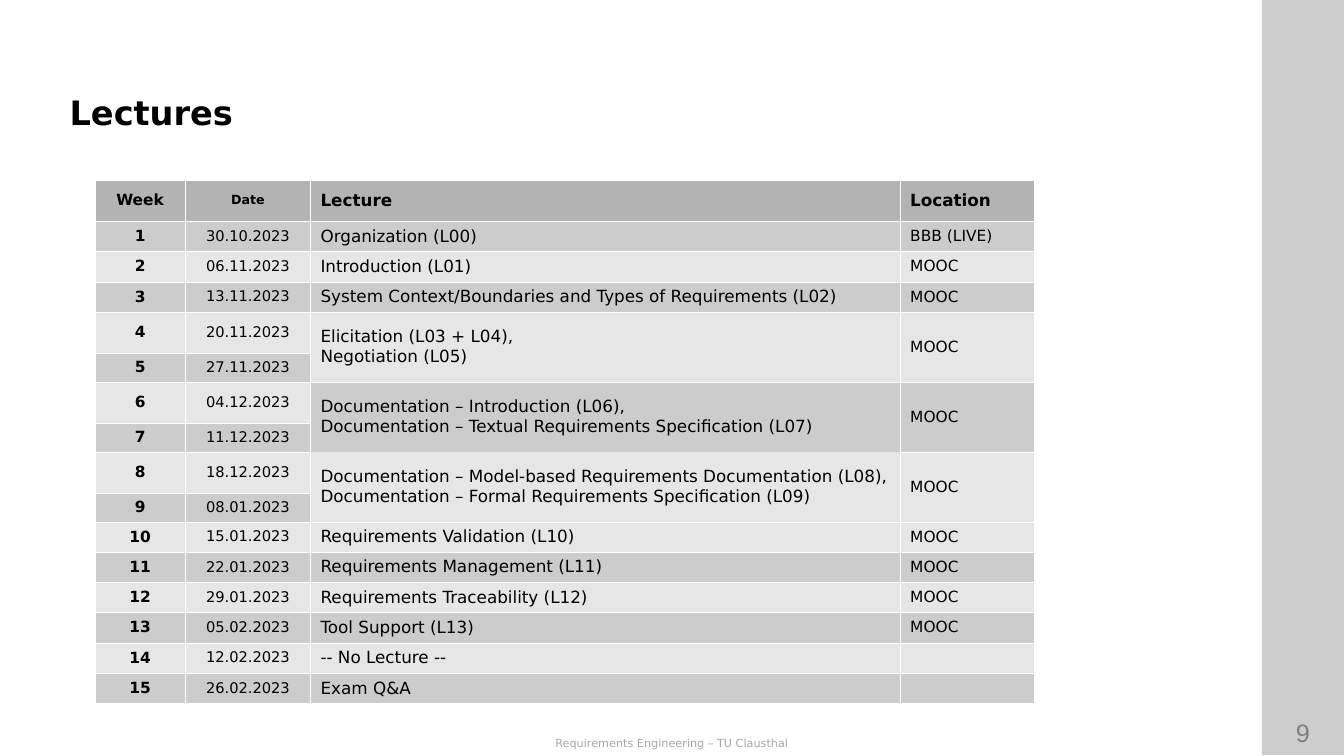
"""Build the lecture schedule slide."""
from lxml import etree
from pptx import Presentation
from pptx import util as u
from pptx.dml.color import RGBColor
from pptx.enum import shapes, text
from pptx.oxml.ns import qn

Pt = u.Pt
SANS = "DejaVu Sans"
COLORS = {
    "ink": "000000", "line": "FFFFFF", "head": "B3B3B3", "dark": "CCCCCC",
    "light": "E6E6E6", "page": "808080", "foot": "A6A6A6",
}
WIDTHS = [64.8, 89.3, 421.2, 95.8]
SIZES = [11, 10.5, 12, 11]
TALL, LOW = 29.5, 17.3
HEADS = ["Week", "Date", "Lecture", "Location"]
WEEKS = [
    ("30.10.2023", "Organization (L00)", "BBB (LIVE)"),
    ("06.11.2023", "Introduction (L01)", "MOOC"),
    ("13.11.2023", "System Context/Boundaries and Types of Requirements (L02)", "MOOC"),
    ("20.11.2023", "Elicitation (L03 + L04),\nNegotiation (L05)", "MOOC"),
    ("27.11.2023", "", ""),
    ("04.12.2023", "Documentation – Introduction (L06),\n"
     "Documentation – Textual Requirements Specification (L07)", "MOOC"),
    ("11.12.2023", "", ""),
    ("18.12.2023", "Documentation – Model-based Requirements Documentation (L08),\n"
     "Documentation – Formal Requirements Specification (L09)", "MOOC"),
    ("08.01.2023", "", ""),
    ("15.01.2023", "Requirements Validation (L10)", "MOOC"),
    ("22.01.2023", "Requirements Management (L11)", "MOOC"),
    ("29.01.2023", "Requirements Traceability (L12)", "MOOC"),
    ("05.02.2023", "Tool Support (L13)", "MOOC"),
    ("12.02.2023", "-- No Lecture --", ""),
    ("26.02.2023", "Exam Q&A", ""),
]
PAIRS = [4, 6, 8]
SIDES = {(6, 2): "L", (6, 3): "RT", (8, 2): "LRB"}
PLAIN = "{2D5ABB26-0587-4C30-8999-92F81FD0307C}"


def color(name):
    """Return the named colour."""
    return RGBColor.from_string(COLORS[name])


def style(frame, size, tint="ink", bold=False, center=False, face=SANS):
    """Format every paragraph of a text frame."""
    for para in frame.paragraphs:
        para.alignment = text.PP_ALIGN.CENTER if center else text.PP_ALIGN.LEFT
        font = para.font
        font.name, font.size, font.bold = face, Pt(size), bold
        font.color.rgb = color(tint)


def add_band(slide):
    """Add one translucent band at the right edge."""
    band = slide.shapes.add_shape(
        shapes.MSO_SHAPE.RECTANGLE, Pt(901.4), 0, Pt(58.6), Pt(539.5))
    band.shadow.inherit = False
    band.line.fill.background()
    band.fill.solid()
    band.fill.fore_color.rgb = color("ink")
    tone = band.fill._xPr.find(".//" + qn("a:srgbClr"))
    etree.SubElement(tone, qn("a:alpha"), val="10000")


def add_label(slide, words, box, size, tint, face=SANS):
    """Add a centred line of text."""
    label = slide.shapes.add_textbox(*map(Pt, box))
    frame = label.text_frame
    frame.word_wrap = True
    frame.text = words
    style(frame, size, tint, center=True, face=face)


def add_title(slide, words):
    """Fill and place the title."""
    title = slide.shapes.title
    title.left, title.top, title.width, title.height = map(Pt, (42.5, 60.5, 846, 39))
    frame = title.text_frame
    frame.text = words
    frame.vertical_anchor = text.MSO_ANCHOR.MIDDLE
    style(frame, 24, bold=True)


def add_lines(cell, sides):
    """Draw thin cell borders on the given sides."""
    props = cell._tc.get_or_add_tcPr()
    for spot, side in enumerate(sides):
        line = etree.Element(qn("a:ln" + side), w=str(Pt(0.06)))
        fill = etree.SubElement(line, qn("a:solidFill"))
        etree.SubElement(fill, qn("a:srgbClr"), val=COLORS["line"])
        props.insert(spot, line)


def fill_cell(cell, words, row, col):
    """Write and format one table cell."""
    size = 9 if (row, col) == (0, 1) else 12 if (row, col) == (0, 3) else SIZES[col]
    cell.text = words
    cell.vertical_anchor = text.MSO_ANCHOR.MIDDLE
    style(cell.text_frame, size, bold=row == 0 or col == 0, center=col < 2)
    if not words:
        end = cell.text_frame.paragraphs[0]._p.get_or_add_endParaRPr()
        end.set("sz", str(size * 100))
    shade = "head" if row == 0 else "dark" if row % 2 else "light"
    if row == 6 and col > 1:
        shade = "dark"
    cell.fill.solid()
    cell.fill.fore_color.rgb = color(shade)
    if not cell.is_spanned:
        add_lines(cell, SIDES.get((row, col), "LRTB"))


def add_plan(slide):
    """Add the table of weeks."""
    rows = [HEADS] + [(str(week), *rest) for week, rest in enumerate(WEEKS, 1)]
    highs = [TALL if row in [0, *PAIRS] else LOW for row in range(len(rows))]
    frame = slide.shapes.add_table(
        len(rows), len(HEADS), Pt(67.7), Pt(128.5), Pt(sum(WIDTHS)), Pt(sum(highs)))
    table = frame.table
    table._tbl.tblPr.find(qn("a:tableStyleId")).text = PLAIN
    table.horz_banding = False
    for col, width in enumerate(WIDTHS):
        table.columns[col].width = Pt(width)
    for row in PAIRS:
        for col in (2, 3):
            table.cell(row, col).merge(table.cell(row + 1, col))
    for row, items in enumerate(rows):
        table.rows[row].height = Pt(highs[row])
        for col, words in enumerate(items):
            fill_cell(table.cell(row, col), words, row, col)


def main():
    """Build and save the slide."""
    deck = Presentation()
    deck.slide_width, deck.slide_height = Pt(960), Pt(540)
    slide = deck.slides.add_slide(deck.slide_layouts[5])
    for _ in range(2):
        add_band(slide)
    add_label(slide, "9", (900.7, 508.5, 59.8, 29), 18, "page", "Arial")
    add_label(slide, "Requirements Engineering – TU Clausthal",
              (0, 522.7, 960, 16.6), 8, "foot")
    add_title(slide, "Lectures")
    add_plan(slide)
    deck.save("out.pptx")


if __name__ == "__main__":
    main()
